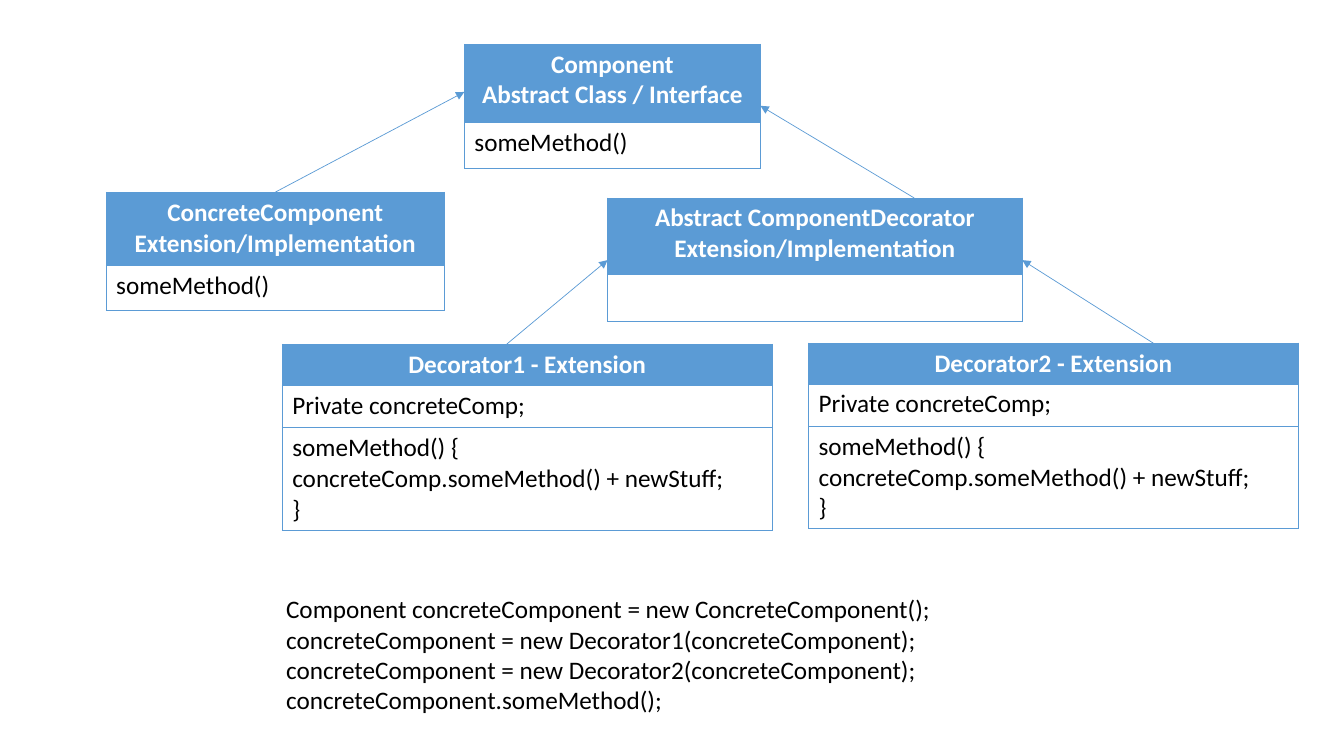
from dataclasses import dataclass

from lxml import etree
from pptx import Presentation
from pptx import util as u
from pptx.dml.color import RGBColor
from pptx.enum import shapes, text
from pptx.oxml import ns


@dataclass(frozen=True)
class Theme:
    accent: str = "5B9BD5"
    header_text: str = "FFFFFF"
    body_text: str = "000000"
    font: str = "Calibri"
    size: float = 18
    line: float = 0.5


theme = Theme()
A = ns.qn("a:ln").removesuffix("ln")


def write_lines(frame, lines, color, bold=False, align=text.PP_ALIGN.LEFT):
    for index, line in enumerate(lines):
        paragraph = frame.add_paragraph() if index else frame.paragraphs[0]
        paragraph.alignment = align
        paragraph.font.size = u.Pt(theme.size)
        run = paragraph.add_run()
        run.text = line
        run.font.name = theme.font
        run.font.size = u.Pt(theme.size)
        run.font.bold = bold
        run.font.color.rgb = RGBColor.from_string(color)


def add_borders(cell):
    properties = cell._tc.get_or_add_tcPr()
    for position, side in enumerate(("lnL", "lnR", "lnT", "lnB")):
        border = etree.Element(A + side, w=str(u.Pt(theme.line)))
        fill = etree.SubElement(border, A + "solidFill")
        etree.SubElement(fill, A + "srgbClr", val=theme.accent)
        properties.insert(position, border)


presentation = Presentation()
presentation.slide_width, presentation.slide_height = u.Pt(960), u.Pt(540)
slide = presentation.slides.add_slide(presentation.slide_layouts[6])

# Class boxes: left, top, width, row heights, lines of each row
method = ["someMethod()"]
extension = "Extension/Implementation"
decorator_rows = [
    ["Private concreteComp;"],
    ["someMethod() {", "concreteComp.someMethod() + newStuff;", "}"],
]
decorator_heights = (25.2, 30.4, 67)
class_boxes = [
    (331.7, 31.5, 211.5, (56, 32.5),
     [["Component", "Abstract Class / Interface"], method]),
    (75.8, 137.3, 241.7, (52, 32.3),
     [["ConcreteComponent", extension], method]),
    (434, 141.4, 296.2, (54.2, 33.6),
     [["Abstract ComponentDecorator", extension], []]),
    (201.6, 245.8, 350, decorator_heights,
     [["Decorator1 - Extension"], *decorator_rows]),
    (577.5, 245, 350, decorator_heights,
     [["Decorator2 - Extension"], *decorator_rows]),
]
for left, top, width, heights, rows in class_boxes:
    frame = slide.shapes.add_table(
        len(rows), 1, u.Pt(left), u.Pt(top), u.Pt(width), u.Pt(sum(heights)))
    table = frame.table
    table.horz_banding = False
    for index, (height, lines) in enumerate(zip(heights, rows)):
        table.rows[index].height = u.Pt(height)
        cell = table.cell(index, 0)
        if index == 0:
            cell.fill.solid()
            cell.fill.fore_color.rgb = RGBColor.from_string(theme.accent)
            write_lines(cell.text_frame, lines, theme.header_text, True,
                        text.PP_ALIGN.CENTER)
        else:
            cell.fill.background()
            write_lines(cell.text_frame, lines, theme.body_text)
        add_borders(cell)

# Usage example
usage = slide.shapes.add_textbox(u.Pt(197.3), u.Pt(420.5), u.Pt(537), u.Pt(94.5))
usage.text_frame.word_wrap = True
write_lines(usage.text_frame, [
    "Component concreteComponent = new ConcreteComponent();",
    "concreteComponent = new Decorator1(concreteComponent);",
    "concreteComponent = new Decorator2(concreteComponent);",
    "concreteComponent.someMethod();",
], theme.body_text)

# Inheritance arrows, from subclass to parent
arrows = [
    (362, 245.8, 434, 185.8),
    (832.3, 250.5, 730.2, 185.8),
    (653, 141.4, 543.2, 75.6),
    (196.6, 137.3, 331.7, 65.7),
]
for ends in arrows:
    arrow = slide.shapes.add_connector(
        shapes.MSO_CONNECTOR.STRAIGHT, *(u.Pt(value) for value in ends))
    arrow.line.width = u.Pt(theme.line)
    arrow.line.color.rgb = RGBColor.from_string(theme.accent)
    etree.SubElement(arrow.line._get_or_add_ln(), A + "tailEnd", type="triangle")
    etree.SubElement(arrow._element.spPr, A + "effectLst")

presentation.save("out.pptx")
